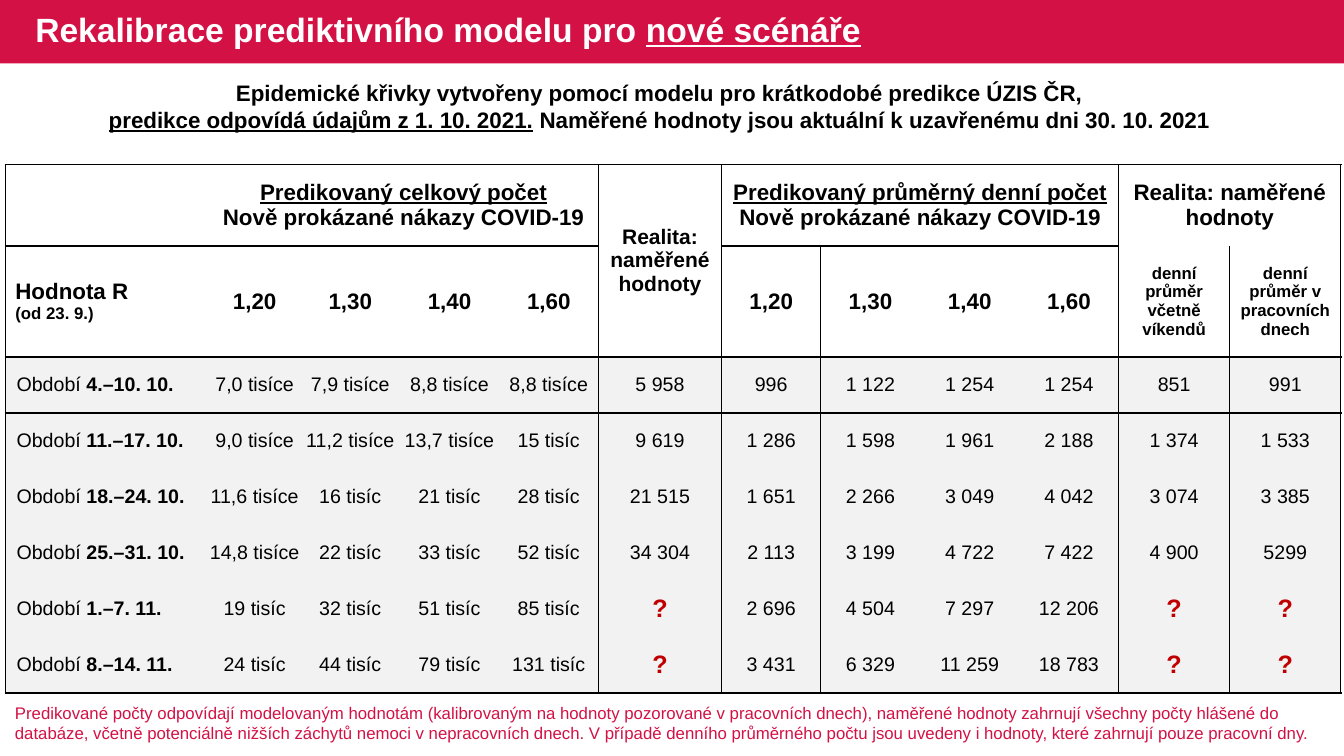
from lxml import etree
from pptx import Presentation
from pptx.dml.color import RGBColor
from pptx.enum.shapes import MSO_SHAPE
from pptx.enum.text import MSO_ANCHOR, MSO_AUTO_SIZE, PP_ALIGN
from pptx.oxml.ns import qn
from pptx.util import Pt

RECT = MSO_SHAPE.RECTANGLE
MIDDLE = MSO_ANCHOR.MIDDLE
FIXED = MSO_AUTO_SIZE.NONE
LEFT, CENTER = PP_ALIGN.LEFT, PP_ALIGN.CENTER

COLORS = {"red": "D31145", "black": "000000", "white": "FFFFFF",
          "gray": "F2F2F2", "alert": "C00000"}
PLAIN_STYLE = "{2D5ABB26-0587-4C30-8999-92F81FD0307C}"
UNDER = {"under": True}

WIDTHS = [145.3, 65.7] + [70.9] * 3 + [88] + [70.9] * 4 + [79.4] * 2
HEIGHTS = [58.3, 79.3] + [40] * 6
VERTICAL = {0, 5, 6, 7, 10, 11, 12}
HORIZONTAL = {0, 1, 2, 3, 8}
MERGES = [(0, 1, 0, 4), (0, 5, 1, 5), (0, 6, 0, 9), (0, 10, 0, 11)]

CASES = "Nově prokázané nákazy COVID-19"
RATES = ["1,20", "1,30", "1,40", "1,60"]
GROUPS = {
    1: ([[("Predikovaný celkový počet", UNDER), "\n" + CASES]], 16),
    5: ([["Realita: naměřené"], ["hodnoty"]], 15),
    6: ([[("Predikovaný průměrný denní počet", UNDER), " " + CASES]], 16),
    10: ([["Realita: naměřené"], ["hodnoty"]], 16),
}
REAL = {10: "denní průměr včetně víkendů", 11: "denní průměr v pracovních dnech"}
DATA = [
    ["4.–10. 10.", "7,0 tisíce", "7,9 tisíce", "8,8 tisíce", "8,8 tisíce",
     "5 958", "996", "1 122", "1 254", "1 254", "851", "991"],
    ["11.–17. 10.", "9,0 tisíce", "11,2 tisíce", "13,7 tisíce", "15 tisíc",
     "9 619", "1 286", "1 598", "1 961", "2 188", "1 374", "1 533"],
    ["18.–24. 10.", "11,6 tisíce", "16 tisíc", "21 tisíc", "28 tisíc",
     "21 515", "1 651", "2 266", "3 049", "4 042", "3 074", "3 385"],
    ["25.–31. 10.", "14,8 tisíce", "22 tisíc", "33 tisíc", "52 tisíc",
     "34 304", "2 113", "3 199", "4 722", "7 422", "4 900", "5299"],
    ["1.–7. 11.", "19 tisíc", "32 tisíc", "51 tisíc", "85 tisíc",
     "?", "2 696", "4 504", "7 297", "12 206", "?", "?"],
    ["8.–14. 11.", "24 tisíc", "44 tisíc", "79 tisíc", "131 tisíc",
     "?", "3 431", "6 329", "11 259", "18 783", "?", "?"],
]


def rgb(name):
    return RGBColor.from_string(COLORS[name])


def write(frame, paras, size=16, bold=False, color="black", align=CENTER, space=None):
    """Fill a frame; a run is text, or text with its own size, bold or under."""
    frame.word_wrap = True
    for i, runs in enumerate(paras):
        para = frame.add_paragraph() if i else frame.paragraphs[0]
        para.alignment = align
        if space:
            para.line_spacing = space
        for item in runs:
            text, form = (item, {}) if isinstance(item, str) else item
            for j, part in enumerate(text.split("\n")):
                if j:
                    para.add_line_break()
                if not part:
                    continue
                run = para.add_run()
                run.text = part
                font = run.font
                font.name = "Arial"
                font.size = Pt(form.get("size", size))
                font.bold = form.get("bold", bold)
                font.underline = form.get("under", False)
                font.color.rgb = rgb(color)


def add_title(slide, x, y, w, h):
    title = slide.shapes.title
    bar = slide.shapes.add_shape(RECT, Pt(x), Pt(y), Pt(w), Pt(h))
    bar.shadow.inherit = False
    bar.fill.solid()
    bar.fill.fore_color.rgb = rgb("red")
    bar.line.fill.background()
    title.element.addprevious(bar.element)
    title.left, title.top = Pt(x + 18), Pt(y)
    title.width, title.height = Pt(w - 34), Pt(h)
    frame = title.text_frame
    frame.auto_size = FIXED
    frame.vertical_anchor = MIDDLE
    write(frame, [["Rekalibrace prediktivního modelu pro ", ("nové scénáře", UNDER)]],
          size=24, bold=True, color="white", align=LEFT, space=0.9)


def add_text(slide, x, y, w, h, paras, **form):
    box = slide.shapes.add_textbox(Pt(x), Pt(y), Pt(w), Pt(h))
    write(box.text_frame, paras, **form)


def set_cell(cell, paras, inset=True, fill="white", **form):
    if not inset:
        cell.margin_left = cell.margin_right = Pt(0)
        cell.margin_top = cell.margin_bottom = Pt(0)
    cell.vertical_anchor = MIDDLE
    cell.fill.solid()
    cell.fill.fore_color.rgb = rgb(fill)
    write(cell.text_frame, paras, **form)


def set_edges(cell, row, col):
    """Draw the cell's sides that lie on a grid rule."""
    wide = cell.span_width if cell.is_merge_origin else 1
    high = cell.span_height if cell.is_merge_origin else 1

    def upright(x):
        return x in VERTICAL and not (row == 0 and x in (7, 11))

    def level(y):
        return y in HORIZONTAL and not (y == 1 and col in (5, 10, 11))

    sides = {"a:lnL": upright(col), "a:lnR": upright(col + wide),
             "a:lnT": level(row), "a:lnB": level(row + high)}
    props = cell._tc.get_or_add_tcPr()
    for i, (tag, shown) in enumerate(sides.items()):
        line = etree.Element(qn(tag), w=str(Pt(1)))
        if shown:
            fill = etree.SubElement(line, qn("a:solidFill"))
            etree.SubElement(fill, qn("a:srgbClr"), val=COLORS["black"])
        else:
            etree.SubElement(line, qn("a:noFill"))
        props.insert(i, line)


def fill_head(table):
    for col, (paras, size) in GROUPS.items():
        set_cell(table.cell(0, col), paras, size=size, bold=True)
    set_cell(table.cell(1, 0), [["Hodnota R\n", ("(od 23. 9.)", {"size": 12})]],
             bold=True, align=LEFT)
    for start in (1, 6):
        for col, rate in enumerate(RATES, start):
            set_cell(table.cell(1, col), [[rate]], inset=False, bold=True)
    for col, text in REAL.items():
        set_cell(table.cell(1, col), [[text]], size=12, bold=True)


def fill_body(table):
    for row, (period, *values) in enumerate(DATA, 2):
        label = table.cell(row, 0)
        set_cell(label, [["Období ", (period, {"bold": True})]], inset=False,
                 fill="gray", size=14, align=LEFT)
        label.margin_left = Pt(8)
        for col, value in enumerate(values, 1):
            form = {"size": 14}
            if value == "?":
                form = {"size": 18, "bold": True, "color": "alert"}
            set_cell(table.cell(row, col), [[value]], inset=False, fill="gray", **form)


def add_grid(slide, x, y):
    shape = slide.shapes.add_table(len(HEIGHTS), len(WIDTHS), Pt(x), Pt(y),
                                   Pt(sum(WIDTHS)), Pt(sum(HEIGHTS)))
    table = shape.table
    table.first_row = table.horz_banding = False
    table._tbl.tblPr.find(qn("a:tableStyleId")).text = PLAIN_STYLE
    for col, width in zip(table.columns, WIDTHS):
        col.width = Pt(width)
    for row, height in zip(table.rows, HEIGHTS):
        row.height = Pt(height)
    for top, left, low, right in MERGES:
        table.cell(top, left).merge(table.cell(low, right))
    fill_head(table)
    fill_body(table)
    for row in range(len(HEIGHTS)):
        for col in range(len(WIDTHS)):
            set_edges(table.cell(row, col), row, col)


def main():
    deck = Presentation()
    deck.slide_width, deck.slide_height = Pt(960), Pt(540)
    slide = deck.slides.add_slide(deck.slide_layouts[5])
    add_title(slide, 0, 0, 960, 45.4)
    add_text(slide, -14, 53, 970, 46, [[
        "Epidemické křivky vytvořeny pomocí modelu pro krátkodobé predikce ÚZIS ČR,\n",
        ("predikce odpovídá údajům z 1. 10. 2021.", UNDER),
        " Naměřené hodnoty jsou aktuální k uzavřenému dni 30. 10. 2021"]], bold=True)
    add_grid(slide, 3.8, 117.4)
    add_text(slide, 3.6, 498.4, 952, 36, [[
        "Predikované počty odpovídají modelovaným hodnotám (kalibrovaným na hodnoty "
        "pozorované v pracovních dnech), naměřené hodnoty zahrnují všechny počty hlášené "
        "do databáze, včetně potenciálně nižších záchytů nemoci v nepracovních dnech. "
        "V případě denního průměrného počtu jsou uvedeny i hodnoty, které zahrnují pouze "
        "pracovní dny."]], size=12, color="red", align=LEFT)
    deck.save("out.pptx")


if __name__ == "__main__":
    main()
